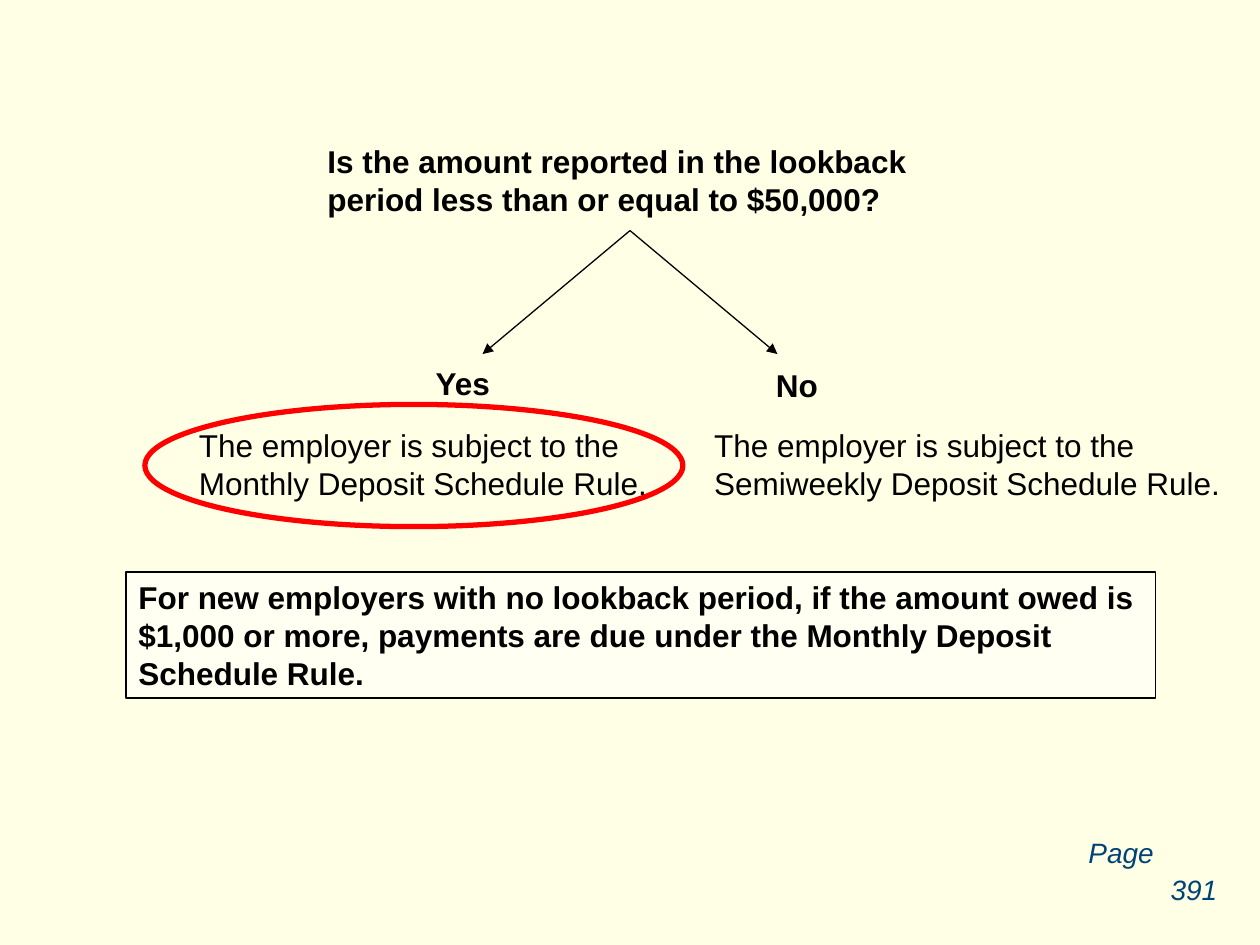
from lxml import etree
from pptx import Presentation
from pptx.dml.color import RGBColor
from pptx.enum.shapes import MSO_CONNECTOR, MSO_SHAPE
from pptx.enum.text import MSO_ANCHOR, MSO_AUTO_SIZE, PP_ALIGN
from pptx.oxml.ns import qn
from pptx.util import Inches, Pt

RECTANGLE, OVAL = MSO_SHAPE.RECTANGLE, MSO_SHAPE.OVAL
STRAIGHT = MSO_CONNECTOR.STRAIGHT
TOP = MSO_ANCHOR.TOP
FIT_SHAPE = MSO_AUTO_SIZE.SHAPE_TO_FIT_TEXT
LEFT, CENTER = PP_ALIGN.LEFT, PP_ALIGN.CENTER

CREAM = RGBColor(0xFF, 0xFF, 0xE5)
WHITE = RGBColor(0xFF, 0xFF, 0xFF)
BLACK = RGBColor(0x00, 0x00, 0x00)
RED = RGBColor(0xFF, 0x00, 0x00)
NAVY = RGBColor(0x00, 0x44, 0x77)

COLUMNS, ROWS = 100, 75
WIDTH, HEIGHT = Inches(10), Inches(7.5)


class DecisionSlide:
    """Style and drawing methods; lengths are columns and rows of the grid."""

    font_name = "Arial"
    body_size = Pt(18)
    page_size = Pt(16)
    thin, thick = Pt(0.75), Pt(3)

    def __init__(self, presentation):
        self.slide = presentation.slides.add_slide(presentation.slide_layouts[6])
        background = self.slide.background.fill
        background.solid()
        background.fore_color.rgb = CREAM

    def place(self, *lengths):
        units = (WIDTH / COLUMNS, HEIGHT / ROWS) * 2
        return [round(length * unit) for length, unit in zip(lengths, units)]

    def set_text(self, shape, text, size=body_size, color=BLACK, bold=False,
                 italic=False, wrap=True, align=LEFT):
        frame = shape.text_frame
        frame.word_wrap = wrap
        frame.auto_size = FIT_SHAPE
        frame.vertical_anchor = TOP
        paragraph = frame.paragraphs[0]
        paragraph.text = text
        paragraph.alignment = align
        font = paragraph.font
        font.name, font.size, font.color.rgb = self.font_name, size, color
        font.bold, font.italic = bold, italic

    def text(self, box, text, **style):
        shape = self.slide.shapes.add_textbox(*self.place(*box))
        self.set_text(shape, text, **style)

    def page_label(self, box, text, align=LEFT):
        self.text(box, text, size=self.page_size, color=NAVY, italic=True,
                  wrap=False, align=align)

    def outline(self, kind, box, color, width):
        shape = self.slide.shapes.add_shape(kind, *self.place(*box))
        shape.shadow.inherit = False
        shape.fill.background()
        shape.line.color.rgb = color
        shape.line.width = width
        return shape

    def note(self, box, text):
        shape = self.outline(RECTANGLE, box, BLACK, self.thin)
        shape.fill.solid()
        shape.fill.fore_color.rgb = WHITE
        color = shape._element.spPr.find(qn("a:solidFill"))[0]
        etree.SubElement(color, qn("a:alpha"), val="50000")
        self.set_text(shape, text, bold=True)

    def arrow(self, start, end):
        connector = self.slide.shapes.add_connector(
            STRAIGHT, *self.place(*start, *end))
        connector.line.color.rgb = BLACK
        connector.line.width = self.thin
        properties = connector._element.spPr
        etree.SubElement(properties.find(qn("a:ln")), qn("a:tailEnd"),
                         type="triangle")
        etree.SubElement(properties, qn("a:effectLst"))


def main():
    presentation = Presentation()
    presentation.slide_width, presentation.slide_height = WIDTH, HEIGHT
    page = DecisionSlide(presentation)

    # Question and the note on new employers
    page.text((25, 10.8, 53.3, 7),
              "Is the amount reported in the lookback period less than or "
              "equal to $50,000?", bold=True)
    page.note((10, 45.4, 81.7, 10),
              "For new employers with no lookback period, if the amount owed is "
              "$1,000 or more, payments are due under the Monthly Deposit "
              "Schedule Rule.")

    # Two branches, mirrored about the middle column
    middle, spread = COLUMNS / 2, 11.7
    branches = [
        (-1, "Yes", (33.6, 28.4, 6.4, 4), "Monthly", (14.8, 33.3, 39.2, 7)),
        (1, "No", (60.6, 28.6, 5.3, 4), "Semiweekly", (55.7, 33.3, 44.3, 7)),
    ]
    for side, answer, answer_box, schedule, rule_box in branches:
        page.arrow((middle, 18.3), (middle + side * spread, 28.1))
        page.text(answer_box, answer, bold=True, wrap=False)
        page.text(rule_box, "The employer is subject to the "
                            f"{schedule} Deposit Schedule Rule.")

    # Page reference
    page.page_label((85.4, 65.8, 7.2, 3.7), "Page")
    page.page_label((91.9, 68.8, 5.7, 3.7), "391", align=CENTER)

    # Ring around the rule that applies
    page.outline(OVAL, (11.5, 32.1, 42.7, 9.7), RED, page.thick)

    presentation.save("out.pptx")


if __name__ == "__main__":
    main()
